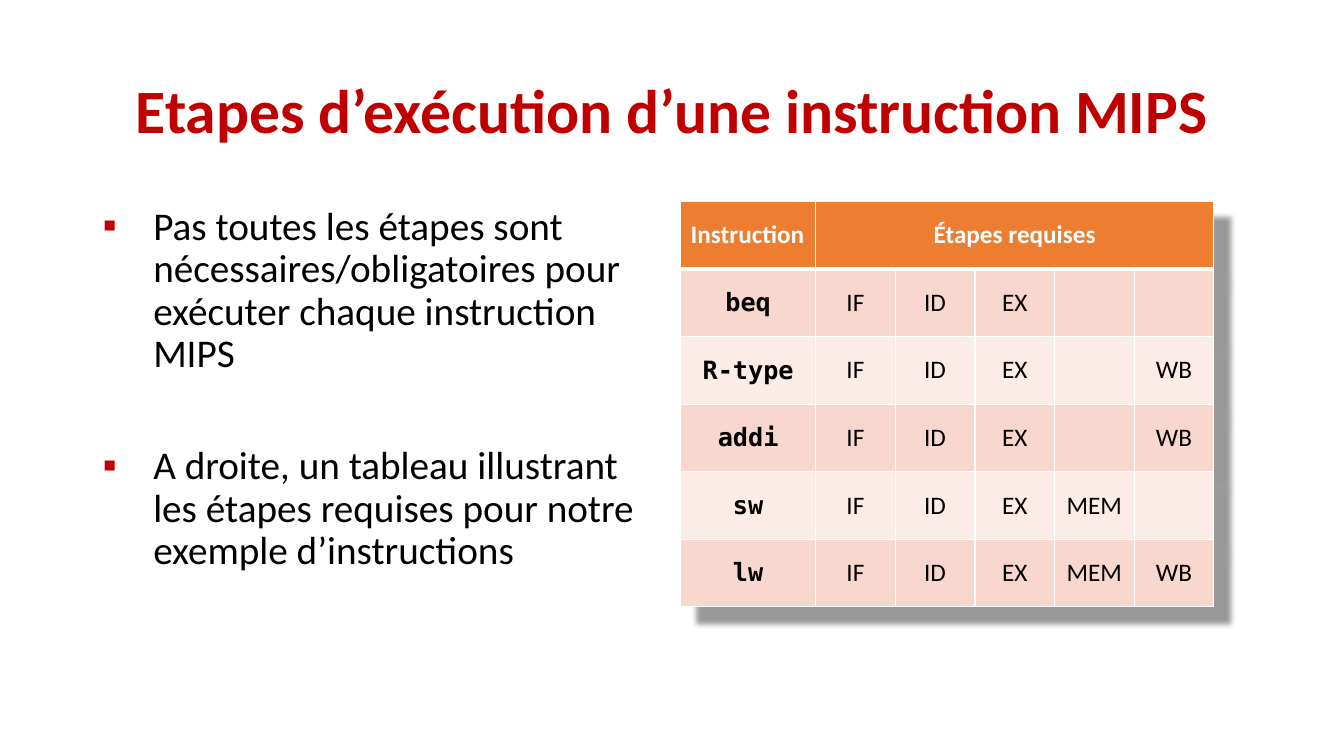
from lxml import etree
from pptx import Presentation
from pptx.dml.color import RGBColor
from pptx.enum.text import MSO_ANCHOR, MSO_AUTO_SIZE, PP_ALIGN
from pptx.oxml import parse_xml
from pptx.oxml.ns import nsdecls, qn
from pptx.util import Inches, Pt

RED, ORANGE, WHITE, BLACK = "C00000", "ED7D31", "FFFFFF", "000000"
BANDS = ["F8D7CE", "FCECE8"]
STAGES = ["IF", "ID", "EX", "MEM", "WB"]
REQUIRED = {
    "beq": ["IF", "ID", "EX"],
    "R-type": ["IF", "ID", "EX", "WB"],
    "addi": ["IF", "ID", "EX", "WB"],
    "sw": ["IF", "ID", "EX", "MEM"],
    "lw": STAGES,
}
BULLETS = [
    ("Pas toutes les étapes sont nécessaires/obligatoires pour exécuter chaque instruction MIPS", 10),
    ("A droite, un tableau illustrant les étapes requises pour notre exemple d’instructions", 50),
]


def write(paragraph, text, size, color, bold=False, font="Calibri"):
    run = paragraph.add_run()
    run.text = text
    run.font.name = font
    run.font.size = Pt(size)
    run.font.bold = bold
    run.font.color.rgb = RGBColor.from_string(color)


def style_cell(cell, fill, bottom_width):
    cell.vertical_anchor = MSO_ANCHOR.MIDDLE
    cell.fill.solid()
    cell.fill.fore_color.rgb = RGBColor.from_string(fill)
    properties = cell._tc.get_or_add_tcPr()
    for index, (side, width) in enumerate([("L", 1), ("R", 1), ("T", 1), ("B", bottom_width)]):
        properties.insert(index, parse_xml(
            f'<a:ln{side} {nsdecls("a")} w="{Pt(width)}"><a:solidFill>'
            f'<a:srgbClr val="{WHITE}"/></a:solidFill></a:ln{side}>'))


prs = Presentation()
prs.slide_width, prs.slide_height = Inches(13.33), Inches(7.5)
slide = prs.slides.add_slide(prs.slide_layouts[1])

title = slide.shapes.title
title.left, title.top, title.width, title.height = [Inches(v) for v in (0.92, 0.4, 11.5, 1.45)]
title.text_frame.vertical_anchor = MSO_ANCHOR.MIDDLE
title.text_frame.auto_size = MSO_AUTO_SIZE.NONE
heading = title.text_frame.paragraphs[0]
heading.alignment = PP_ALIGN.CENTER
heading.line_spacing = 0.9
write(heading, "Etapes d’exécution d’une instruction MIPS", 44, RED, True)

body = slide.placeholders[1]
body.left, body.top, body.width, body.height = [Inches(v) for v in (0.92, 2, 5.67, 4.76)]
frame = body.text_frame
frame.auto_size = MSO_AUTO_SIZE.NONE
for index, (text, gap) in enumerate(BULLETS):
    paragraph = frame.add_paragraph() if index else frame.paragraphs[0]
    paragraph.line_spacing = 0.9
    paragraph.space_before = Pt(gap)
    write(paragraph, text, 28, BLACK)
    properties = paragraph._p.get_or_add_pPr()
    properties.set("marL", str(Inches(0.5)))
    properties.set("indent", str(Inches(-0.5)))
    color = etree.SubElement(properties, qn("a:buClr"))
    etree.SubElement(color, qn("a:srgbClr"), val=RED)
    etree.SubElement(properties, qn("a:buFont"), typeface="Calibri")
    etree.SubElement(properties, qn("a:buChar"), char="▪")

table = slide.shapes.add_table(len(REQUIRED) + 1, len(STAGES) + 1, Inches(6.75), Inches(2),
                               Inches(5.28), Inches(4.02)).table
for index, column in enumerate(table.columns):
    column.width = Inches(0.79 if index else 1.34)
for row in table.rows:
    row.height = Inches(0.67)
table._tbl.tblPr.insert(0, parse_xml(
    f'<a:effectLst {nsdecls("a")}><a:outerShdw blurRad="{Pt(4)}" dist="{Inches(0.22)}" '
    f'dir="2700000" algn="tl" rotWithShape="0"><a:srgbClr val="{BLACK}">'
    '<a:alpha val="40000"/></a:srgbClr></a:outerShdw></a:effectLst>'))

for column in range(len(STAGES) + 1):
    style_cell(table.cell(0, column), ORANGE, 3)
table.cell(0, 1).merge(table.cell(0, len(STAGES)))
write(table.cell(0, 0).text_frame.paragraphs[0], "Instruction", 18, WHITE, True)
stages_heading = table.cell(0, 1).text_frame.paragraphs[0]
stages_heading.alignment = PP_ALIGN.CENTER
write(stages_heading, "Étapes requises", 18, WHITE, True)

for row, (instruction, required) in enumerate(REQUIRED.items(), 1):
    labels = [instruction] + [stage if stage in required else "" for stage in STAGES]
    for column, label in enumerate(labels):
        cell = table.cell(row, column)
        style_cell(cell, BANDS[(row - 1) % 2], 1)
        if label:
            paragraph = cell.text_frame.paragraphs[0]
            paragraph.alignment = PP_ALIGN.CENTER
            write(paragraph, label, 18, BLACK, column == 0,
                  "Calibri" if column else "DejaVu Sans Mono")

prs.save("out.pptx")
